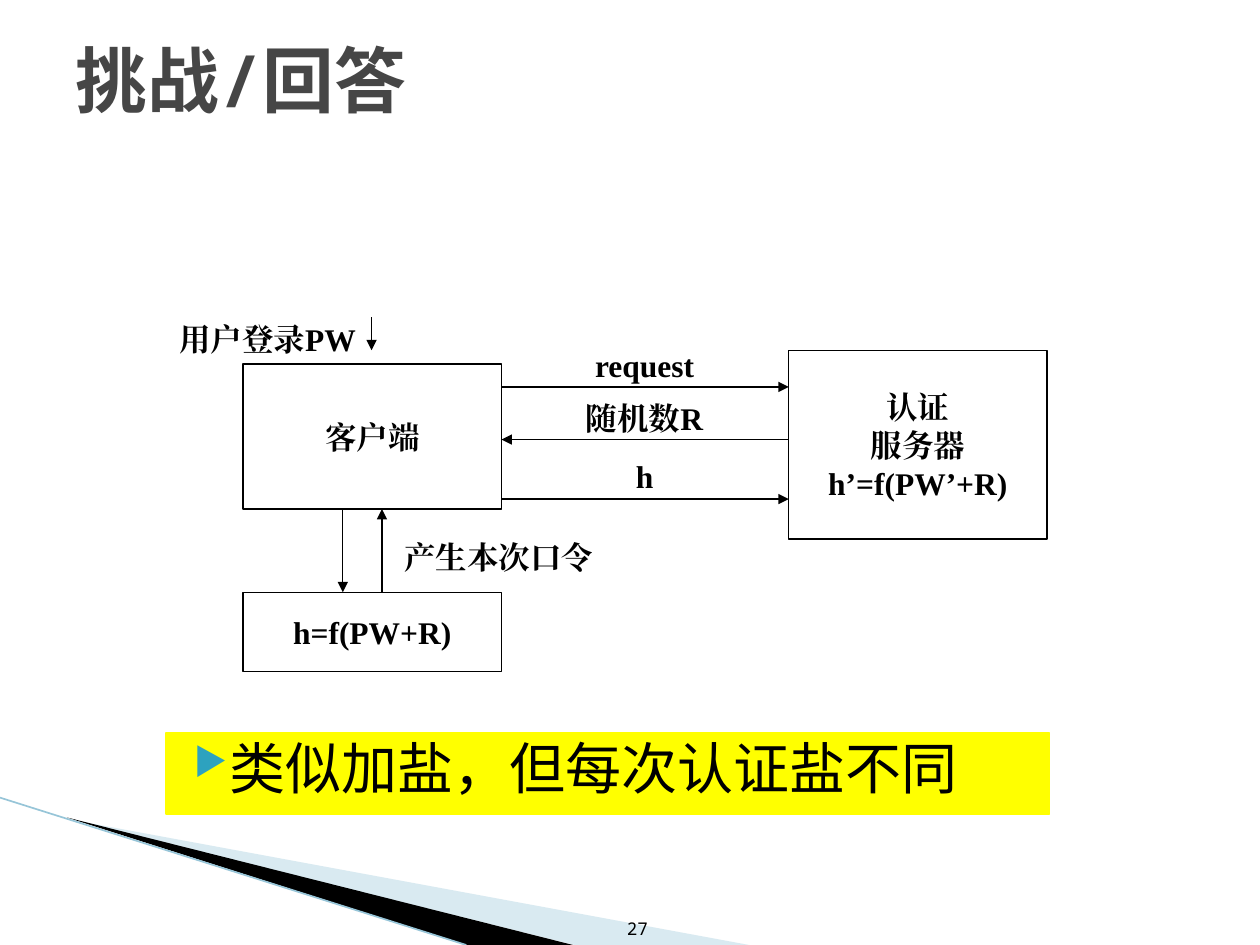
from lxml import etree
from pptx import Presentation
from pptx.dml.color import RGBColor
from pptx.enum.lang import MSO_LANGUAGE_ID
from pptx.enum.shapes import MSO_CONNECTOR, MSO_SHAPE
from pptx.enum.text import MSO_ANCHOR, PP_ALIGN
from pptx.oxml.ns import qn
from pptx.util import Cm, Pt

LEFT, CENTER, RIGHT, JUSTIFY = PP_ALIGN.LEFT, PP_ALIGN.CENTER, PP_ALIGN.RIGHT, PP_ALIGN.JUSTIFY
TOP, MIDDLE, BOTTOM = MSO_ANCHOR.TOP, MSO_ANCHOR.MIDDLE, MSO_ANCHOR.BOTTOM
RECTANGLE, STRAIGHT = MSO_SHAPE.RECTANGLE, MSO_CONNECTOR.STRAIGHT
CHINESE = MSO_LANGUAGE_ID.SIMPLIFIED_CHINESE
SERIF, MONO, SANS = "Times New Roman", "Noto Sans Mono", "Noto Sans CJK SC"
COLORS = {"black": "000000", "white": "FFFFFF", "title": "464646", "yellow": "FFFF00",
          "bullet": "2DA2BF", "wedge": "A0CBDC", "edge": "97C5D8"}

# Content, all lengths in centimetres
TITLE = "挑战/回答"
PAGE_NUMBER = "27"
CONCLUSION = "类似加盐，但每次认证盐不同"
BOX_WIDTH, CLIENT_LEFT, SERVER_LEFT = 5.21, 4.9, 15.9
CLIENT_RIGHT = CLIENT_LEFT + BOX_WIDTH
CLIENT_BOTTOM, HASH_TOP = 10.26, 11.94
BOXES = [  # text, left, top, height
    ("客户端", CLIENT_LEFT, 7.34, 2.92),
    ("认证\n服务器\nh’=f(PW’+R)", SERVER_LEFT, 7.06, 3.81),
    ("h=f(PW+R)", CLIENT_LEFT, HASH_TOP, 1.6),
]
MESSAGES = [  # text, label top, arrow height, sent by the client
    ("request", 6.86, 7.8, True),
    ("随机数R", 7.92, 8.86, False),
    ("h", 9.09, 10.06, True),
]
VERTICAL_ARROWS = [  # x, start, end
    (6.91, CLIENT_BOTTOM, HASH_TOP),
    (7.7, HASH_TOP, CLIENT_BOTTOM),
    (7.49, 6.4, 7.06),
]
SIDE_LABELS = [  # text, left, top, width, alignment
    ("产生本次口令", 7.9, 10.72, 4.6, LEFT),
    ("用户登录PW", 3.3, 6.32, 4.19, CENTER),
]
WEDGES = [  # colour, opacity in percent, corners
    ("wedge", 40, [(1.4, 16.52), (15.1, 19.05), (11.58, 19.05)]),
    ("black", 100, [(1.35, 16.48), (11.55, 19.05), (9.4, 19.05)]),
]


def color(name):
    return RGBColor.from_string(COLORS[name])


def write(shape, text, size=18, font=SERIF, ink="black", bold=True,
          align=CENTER, anchor=TOP, wrap=True):
    frame = shape.text_frame
    frame.text = text
    frame.word_wrap = wrap
    frame.vertical_anchor = anchor
    for paragraph in frame.paragraphs:
        paragraph.alignment = align
        for run in paragraph.runs:
            run.font.size, run.font.bold, run.font.name = Pt(size), bold, font
            run.font.color.rgb = color(ink)
            run.font.language_id = CHINESE
            east_asian = etree.Element(qn("a:ea"), typeface=font)
            run.font._element.find(qn("a:latin")).addnext(east_asian)


def add_label(shapes, text, left, top, width, height, **style):
    write(shapes.add_textbox(Cm(left), Cm(top), Cm(width), Cm(height)), text, **style)


def add_box(shapes, left, top, width, height, fill, line):
    box = shapes.add_shape(RECTANGLE, Cm(left), Cm(top), Cm(width), Cm(height))
    box.shadow.inherit = False
    box.fill.solid()
    box.fill.fore_color.rgb = color(fill)
    box.line.color.rgb = color(line)
    box.line.width = Pt(0.75)
    return box


def add_line(shapes, start, end, ink="black", width=0.75, arrow=True):
    connector = shapes.add_connector(STRAIGHT, *map(Cm, start + end))
    connector.line.color.rgb = color(ink)
    connector.line.width = Pt(width)
    if arrow:
        etree.SubElement(connector.line._get_or_add_ln(), qn("a:tailEnd"), type="triangle")
    etree.SubElement(connector._element.spPr, qn("a:effectLst"))


def add_wedge(shapes, fill, opacity, corners):
    points = [(Cm(x), Cm(y)) for x, y in corners]
    builder = shapes.build_freeform(*points[0])
    builder.add_line_segments(points[1:], close=True)
    wedge = builder.convert_to_shape()
    wedge.shadow.inherit = False
    wedge.fill.solid()
    wedge.fill.fore_color.rgb = color(fill)
    wedge.line.fill.background()
    if opacity < 100:
        tone = wedge._element.spPr.find(qn("a:solidFill"))[0]
        etree.SubElement(tone, qn("a:alpha"), val=str(opacity * 1000))


def add_bullet(paragraph):
    properties = paragraph._p.get_or_add_pPr()
    properties.set("marL", str(Cm(1.02)))
    properties.set("indent", str(Cm(-0.71)))
    bullet_color = etree.SubElement(properties, qn("a:buClr"))
    etree.SubElement(bullet_color, qn("a:srgbClr"), val=COLORS["bullet"])
    etree.SubElement(properties, qn("a:buSzPct"), val="68000")
    etree.SubElement(properties, qn("a:buChar"), char="▶")


def main():
    presentation = Presentation()
    presentation.slide_width, presentation.slide_height = Cm(25.4), Cm(19.05)
    slide = presentation.slides.add_slide(presentation.slide_layouts[5])
    shapes = slide.shapes

    # Corner decoration and page number
    for wedge in WEDGES:
        add_wedge(shapes, *wedge)
    add_line(shapes, (0, 16.08), (9.4, 19.05), ink="edge", width=0.95, arrow=False)
    add_label(shapes, PAGE_NUMBER, 11.89, 17.81, 1.42, 1.24, size=10, font=MONO,
              bold=False, align=RIGHT, anchor=BOTTOM)

    # Title
    title = shapes.title
    title.left, title.top, title.width, title.height = Cm(1.27), Cm(0), Cm(22.86), Cm(3.18)
    write(title, TITLE, size=41, font=MONO, ink="title", align=LEFT, anchor=MIDDLE)

    # Challenge and response diagram
    diagram = shapes.add_group_shape().shapes
    for text, left, top, height in BOXES:
        box = add_box(diagram, left, top, BOX_WIDTH, height, "white", "black")
        write(box, text, anchor=MIDDLE, wrap=False)
    for text, label_top, y, from_client in MESSAGES:
        ends = [(CLIENT_RIGHT, y), (SERVER_LEFT, y)]
        add_line(diagram, *(ends if from_client else reversed(ends)))
        add_label(diagram, text, 10.9, label_top, 4.19, 1.02)
    for x, start, end in VERTICAL_ARROWS:
        add_line(diagram, (x, start), (x, end))
    for text, left, top, width, align in SIDE_LABELS:
        add_label(diagram, text, left, top, width, 1.02, align=align)

    # Highlighted conclusion
    banner = add_box(shapes, 3.35, 14.78, 17.81, 1.63, "yellow", "yellow")
    write(banner, CONCLUSION, size=32, font=SANS, bold=False, align=JUSTIFY)
    banner.text_frame.margin_top = banner.text_frame.margin_bottom = 0
    add_bullet(banner.text_frame.paragraphs[0])

    presentation.save("out.pptx")


if __name__ == "__main__":
    main()
